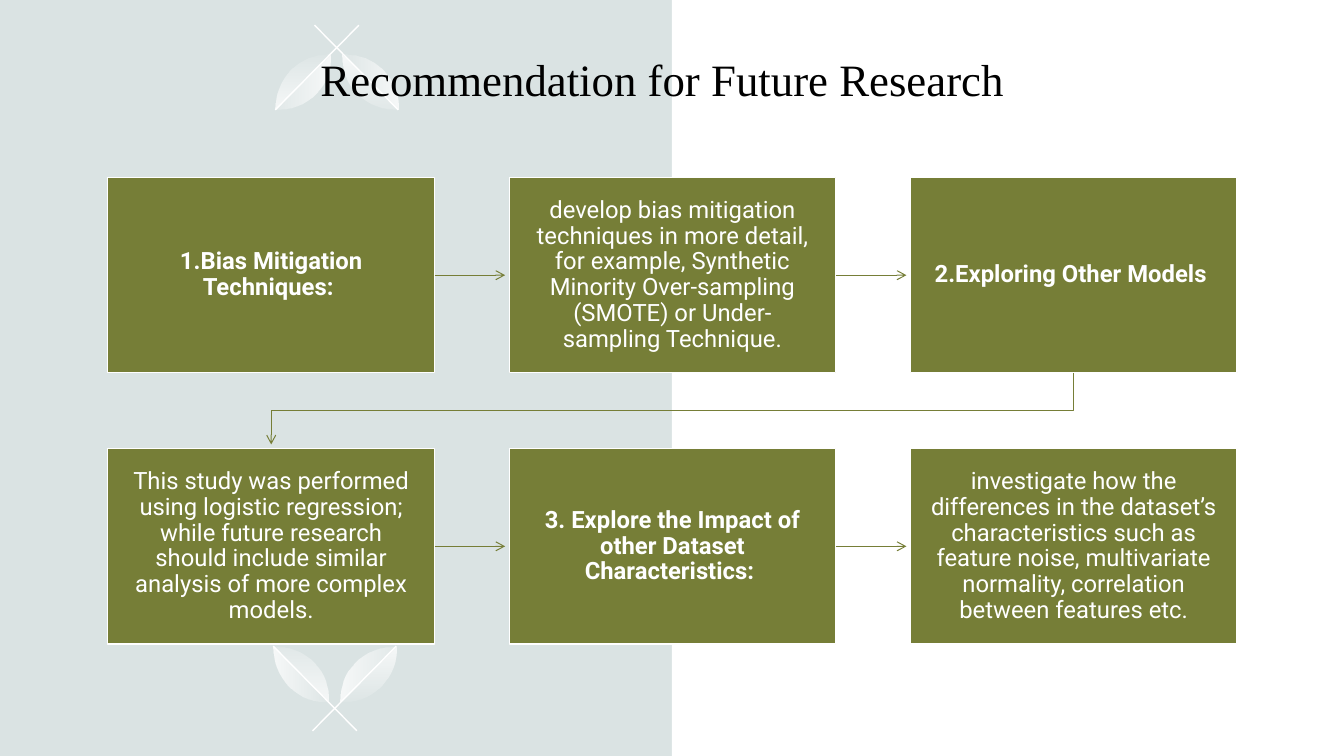
from lxml import etree
from pptx import Presentation
from pptx.dml.color import RGBColor
from pptx.enum.shapes import MSO_CONNECTOR, MSO_SHAPE
from pptx.enum.text import MSO_ANCHOR, PP_ALIGN
from pptx.oxml.ns import qn
from pptx.util import Inches, Pt

RECT = MSO_SHAPE.RECTANGLE
STRAIGHT = MSO_CONNECTOR.STRAIGHT
MIDDLE = MSO_ANCHOR.MIDDLE
CENTER = PP_ALIGN.CENTER

WHITE, OLIVE, MIST = "FFFFFF", "767E37", "DAE3E3"
TIP, BASE, STEM_END = (0.61, 0), (0.06, 0.55), (-0.22, 0.84)
SHOULDER, BELLY = (0.21, 0.16), (0.45, 0.4)
INNER_HALF = [SHOULDER, (0.1, 0.26), (0.06, 0.41), BASE, BASE, TIP, TIP,
              (0.46, 0), (0.31, 0.05), SHOULDER]
OUTER_HALF = [TIP, BASE, BASE, BASE, (0.2, 0.56), (0.34, 0.51), BELLY,
              (0.56, 0.29), (0.61, 0.15), TIP]
STEPS = [
    ("1.Bias Mitigation Techniques: ", True),
    ("develop bias mitigation techniques in more detail, for example, Synthetic "
     "Minority Over-sampling (SMOTE) or Under-sampling Technique.", False),
    ("2.Exploring Other Models ", True),
    ("This study was performed using logistic regression; while future research "
     "should include similar analysis of more complex models.", False),
    ("3. Explore the Impact of other Dataset Characteristics: ", True),
    ("investigate how the differences in the dataset’s characteristics such as "
     "feature noise, multivariate normality, correlation between features etc.", False),
]


def rgb(value):
    return RGBColor.from_string(value)


def write(sp, text, size, font, color, bold=False, insets=(0.16, 0.17, 0.16, 0.17)):
    tf = sp.text_frame
    tf.word_wrap = True
    tf.vertical_anchor = MIDDLE
    tf.margin_left, tf.margin_top, tf.margin_right, tf.margin_bottom = map(Inches, insets)
    p = tf.paragraphs[0]
    p.alignment = CENTER
    p.line_spacing = 0.9
    r = p.add_run()
    r.text = text
    r.font.size = Pt(size)
    r.font.name = font
    r.font.bold = bold
    r.font.color.rgb = rgb(color)


def add_box(s, left, top, width, height, fill, line=None):
    sp = s.shapes.add_shape(RECT, Inches(left), Inches(top), Inches(width), Inches(height))
    sp.shadow.inherit = False
    sp.fill.solid()
    sp.fill.fore_color.rgb = rgb(fill)
    if line:
        sp.line.color.rgb = rgb(line)
        sp.line.width = Pt(0.85)
    else:
        sp.line.fill.background()
    return sp


def add_outline(s, points, close):
    pts = [(Inches(x), Inches(y)) for x, y in points]
    builder = s.shapes.build_freeform(*pts[0])
    builder.add_line_segments(pts[1:], close=close)
    sp = builder.convert_to_shape()
    sp.shadow.inherit = False
    return sp


def curve_segments(sp):
    segments = list(sp.element.spPr.iter(qn("a:lnTo")))
    for i in range(0, len(segments) - 2, 3):
        curve = etree.Element(qn("a:cubicBezTo"))
        segments[i].addprevious(curve)
        for segment in segments[i:i + 3]:
            curve.append(segment[0])
            segment.getparent().remove(segment)


def style_line(sp, color, width, arrow=False):
    sp.line.color.rgb = rgb(color)
    sp.line.width = Pt(width)
    if arrow:
        ln = sp.element.spPr.find(qn("a:ln"))
        etree.SubElement(ln, qn("a:tailEnd"), type="arrow")


def add_line(s, start, end, color, width, arrow=False):
    c = s.shapes.add_connector(STRAIGHT, *[Inches(v) for v in (*start, *end)])
    style_line(c, color, width, arrow)
    etree.SubElement(c.element.spPr, qn("a:effectLst"))


def fade(sp, angle, end_alpha):
    sp.line.fill.background()
    sp.fill.gradient()
    sp.fill.gradient_angle = -angle % 360
    for stop, position in zip(sp.fill.gradient_stops, (0, 1)):
        stop.position = position
        stop.color.rgb = rgb(WHITE)
    for clr, alpha in zip(sp.element.spPr.iter(qn("a:srgbClr")), (80, end_alpha)):
        etree.SubElement(clr, qn("a:alpha"), val=str(alpha * 1000))


def add_sprig(s, cx, tip_y, flip, rotations):
    for side, rotation in zip((1, -1), rotations):
        def place(point):
            return cx + side * point[0], tip_y + flip * point[1]

        for half, angle, alpha in ((INNER_HALF, 315, 20), (OUTER_HALF, 45, 10)):
            leaf = add_outline(s, [place(q) for q in half], True)
            curve_segments(leaf)
            fade(leaf, (angle + rotation) % 360, alpha)
        add_line(s, place(STEM_END), place(TIP), WHITE, 1)


def add_background(s, width, height):
    s.background.fill.solid()
    s.background.fill.fore_color.rgb = rgb(MIST)
    add_box(s, width / 2, 0, width / 2, height, WHITE)
    add_sprig(s, 3.32, 6.41, 1, (45, 315))
    add_sprig(s, 3.34, 1.09, -1, (135, 225))


def add_title(s, left, top, width, height):
    sp = s.shapes.title
    sp.left, sp.top, sp.width, sp.height = map(Inches, (left, top, width, height))
    write(sp, "Recommendation for Future Research", 32, "Times New Roman", "000000",
          insets=(0.1, 0.05, 0.1, 0.15))
    sp.element.getparent().append(sp.element)


def add_flow(s, left, top, width, height):
    box_w, box_h, gap, cols = 3.24, 1.94, 0.04, 3
    pitch_x, pitch_y = (width - box_w) / (cols - 1), height - box_h
    for i, (text, bold) in enumerate(STEPS):
        row, col = divmod(i, cols)
        x, y = left + col * pitch_x, top + row * pitch_y
        sp = add_box(s, x, y, box_w, box_h, OLIVE, WHITE)
        write(sp, text, 17, "Roboto", WHITE, bold)
        mid_y = y + box_h / 2
        if col < cols - 1:
            add_line(s, (x + box_w, mid_y), (x + pitch_x - gap, mid_y), OLIVE, 0.75, True)
        elif row == 0:
            start_x, end_x = x + box_w / 2, left + box_w / 2
            bottom, next_top = y + box_h, y + pitch_y
            turn_y = (bottom + next_top) / 2
            bend = add_outline(s, [(start_x, bottom), (start_x, turn_y),
                                   (end_x, turn_y), (end_x, next_top - gap)], False)
            bend.fill.background()
            style_line(bend, OLIVE, 0.75, True)


def main():
    prs = Presentation()
    prs.slide_width, prs.slide_height = Inches(13.33), Inches(7.5)
    s = prs.slides.add_slide(prs.slide_layouts[5])
    add_background(s, 13.33, 7.5)
    add_title(s, 0.49, 0.47, 12.16, 0.78)
    add_flow(s, 1.07, 1.76, 11.2, 4.63)
    prs.save("out.pptx")


if __name__ == "__main__":
    main()
